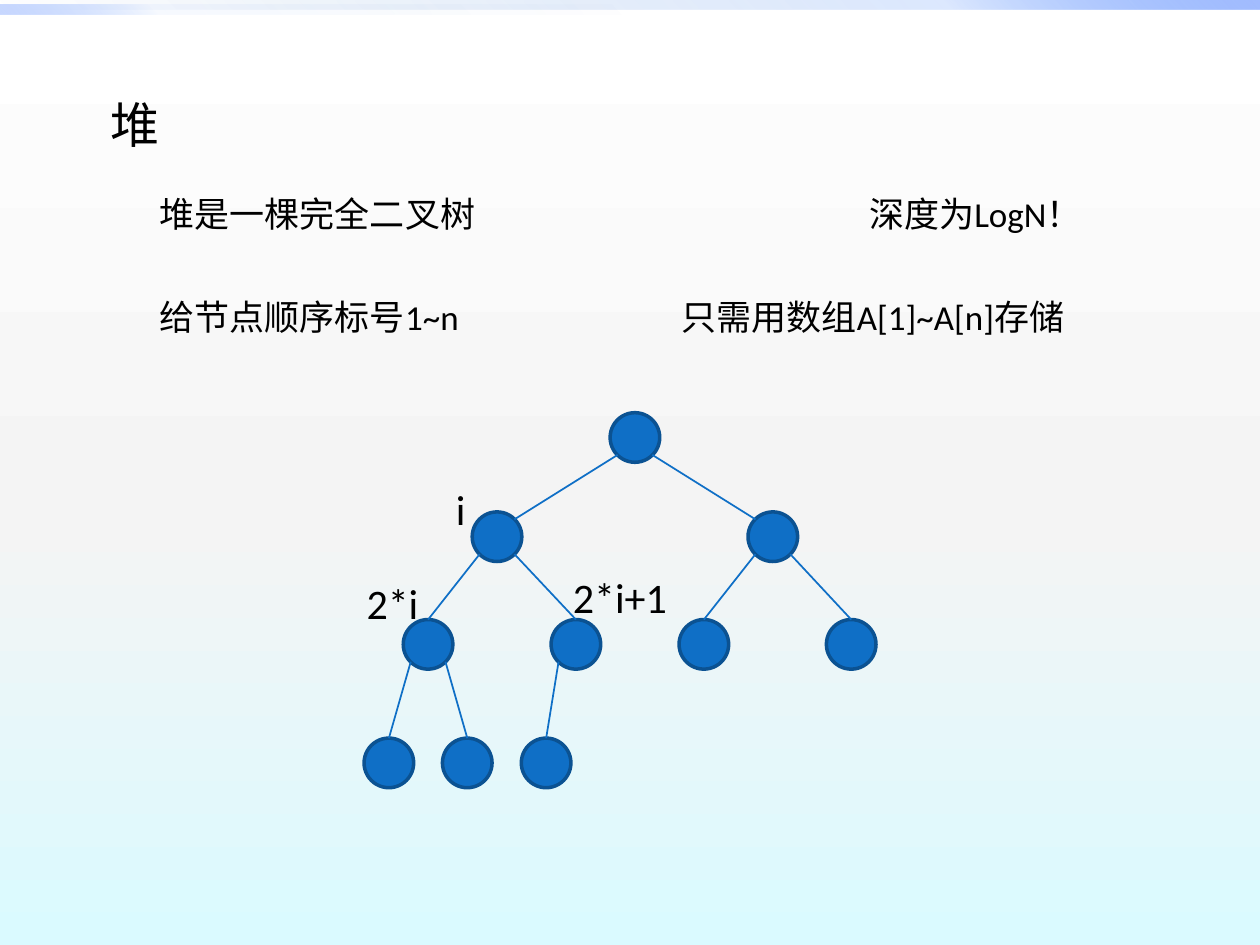
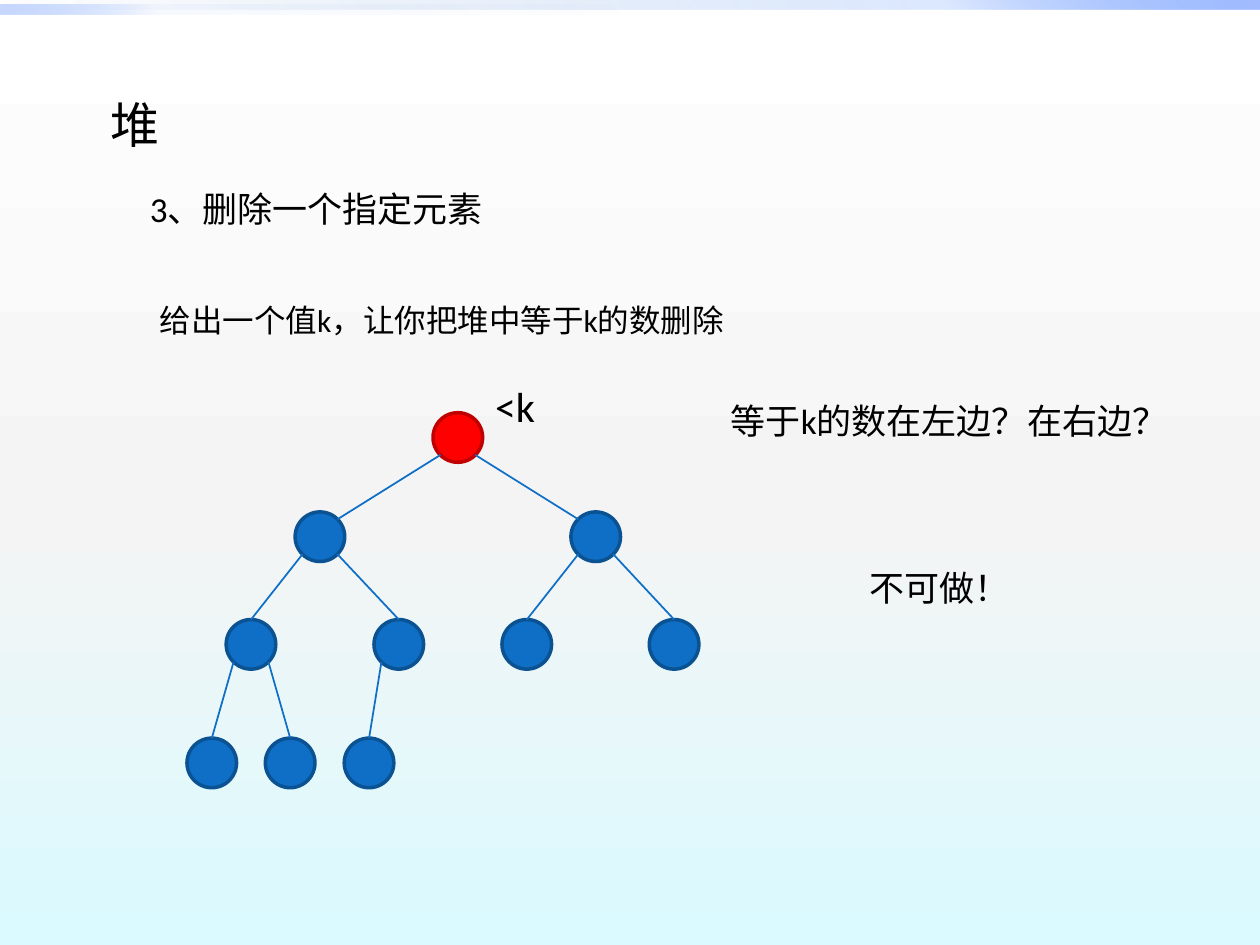
from lxml import etree
from pptx import Presentation
from pptx.dml.color import RGBColor
from pptx.enum.shapes import MSO_CONNECTOR, MSO_SHAPE
from pptx.enum.text import MSO_ANCHOR, MSO_AUTO_SIZE, PP_ALIGN
from pptx.oxml.ns import qn
from pptx.util import Cm, Pt

STRAIGHT = MSO_CONNECTOR.STRAIGHT
OVAL, RECT = MSO_SHAPE.OVAL, MSO_SHAPE.RECTANGLE
LEFT, TOP = PP_ALIGN.LEFT, MSO_ANCHOR.TOP
NO_AUTOSIZE = MSO_AUTO_SIZE.NONE

FONT = "Calibri"
COLORS = {
    "text": "000000", "node": "0F6FC6", "node_line": "0B5292",
    "marked": "FF0000", "marked_line": "C00000",
    "white": "FFFFFF", "grey": "F4F4F4", "ice": "DAFAFF",
    "navy": "00539E", "blue": "538CFF", "pale": "A3BDFF",
}
RADIUS = 0.5
DIAGONAL = 0.35
LEVEL_Y = [8.82, 10.82, 12.99, 15.38]
HEAP_X = [0, -2.78, 2.78, -4.17, -1.19, 1.39, 4.36, -4.96, -3.38, -1.79]


def rgb(name):
    return RGBColor.from_string(COLORS[name])


def set_gradient(fill, element, stops, angle):
    fill.gradient()
    grad = element.find(".//" + qn("a:gradFill"))
    gs_list = grad.find(qn("a:gsLst"))
    for gs in list(gs_list):
        gs_list.remove(gs)
    for pos, name, alpha in stops:
        gs = etree.SubElement(gs_list, qn("a:gs"), pos=str(pos * 1000))
        clr = etree.SubElement(gs, qn("a:srgbClr"), val=COLORS[name])
        if alpha < 100:
            etree.SubElement(clr, qn("a:alpha"), val=str(alpha * 1000))
    grad.find(qn("a:lin")).set("ang", str(angle * 60000))


class Deck:
    def __init__(self):
        self.prs = Presentation()
        self.prs.slide_width, self.prs.slide_height = Cm(25.4), Cm(19.05)
        self.s = None
        master = self.prs.slide_master
        set_gradient(master.background.fill, master.element,
                     [(0, "white", 100), (55, "grey", 100), (100, "ice", 100)], 90)

    def slide(self, title):
        self.s = self.prs.slides.add_slide(self.prs.slide_layouts[5])
        sp = self.s.shapes.title
        sp.left, sp.top, sp.width, sp.height = Cm(1.98), Cm(1.78), Cm(4.57), Cm(1.45)
        self.format_text(sp.text_frame, title, 28)

    def format_text(self, tf, text, size):
        tf.word_wrap = True
        tf.auto_size = NO_AUTOSIZE
        tf.vertical_anchor = TOP
        p = tf.paragraphs[0]
        p.text = text
        p.alignment = LEFT
        p.font.name, p.font.size = FONT, Pt(size)
        p.font.color.rgb = rgb("text")

    def text(self, x, y, w, text, size=20):
        sp = self.s.shapes.add_textbox(Cm(x), Cm(y), Cm(w), Cm(size * 0.055))
        self.format_text(sp.text_frame, text, size)

    def master_band(self, y, w, stops, angle):
        sp = self.s.shapes.add_shape(RECT, 0, Cm(y), Cm(w), Cm(0.2))
        sp.shadow.inherit = False
        sp.line.fill.background()
        set_gradient(sp.fill, sp.element, stops, angle)
        self.prs.slide_master.shapes.element.append(sp.element)

    def node(self, x, y, color):
        sp = self.s.shapes.add_shape(OVAL, Cm(x - RADIUS), Cm(y - RADIUS),
                                     Cm(2 * RADIUS), Cm(2 * RADIUS))
        sp.shadow.inherit = False
        sp.fill.solid()
        sp.fill.fore_color.rgb = rgb(color)
        sp.line.color.rgb = rgb(color + "_line")
        sp.line.width = Pt(2)

    def edge(self, x1, y1, x2, y2):
        cxn = self.s.shapes.add_connector(STRAIGHT, Cm(x1), Cm(y1), Cm(x2), Cm(y2))
        cxn.line.color.rgb = rgb("node")
        cxn.line.width = Pt(1)
        etree.SubElement(cxn.element.spPr, qn("a:effectLst"))

    def heap(self, root_x, root_color="node"):
        centers = [(root_x + dx, LEVEL_Y[(i + 1).bit_length() - 1])
                   for i, dx in enumerate(HEAP_X)]
        for i, (x, y) in enumerate(centers):
            self.node(x, y, "node" if i else root_color)
        for i, (x, y) in enumerate(centers[1:], 1):
            px, py = centers[(i - 1) // 2]
            side = -DIAGONAL if i % 2 else DIAGONAL
            end = (x - side, y - DIAGONAL) if i < 3 else (x, y - RADIUS)
            self.edge(px + side, py + DIAGONAL, *end)


def main():
    deck = Deck()

    deck.slide("堆")
    deck.master_band(0, 25.4, [(0, "navy", 0), (75, "blue", 20), (100, "pale", 100)], 315)
    deck.master_band(0.1, 12.7, [(0, "navy", 0), (75, "blue", 5), (100, "pale", 60)], 135)
    deck.text(2.97, 3.76, 7.75, "堆是一棵完全二叉树")
    deck.text(17.27, 3.76, 5.56, "深度为LogN！")
    deck.text(2.97, 5.84, 7.14, "给节点顺序标号1~n")
    deck.text(13.49, 5.84, 9.73, "只需用数组A[1]~A[n]存储")
    deck.heap(12.8)
    deck.text(8.94, 9.63, 1, "i", 24)
    deck.text(7.14, 11.51, 1.78, "2*i", 24)
    deck.text(11.3, 11.4, 2.59, "2*i+1", 24)

    deck.slide("堆")
    deck.text(2.77, 3.66, 13.69, "3、删除一个指定元素")
    deck.text(2.97, 5.94, 12.9, "给出一个值k，让你把堆中等于k的数删除", 18)
    deck.heap(9.23, "marked")
    deck.text(9.73, 7.54, 3.76, "<k", 24)
    deck.text(14.48, 7.92, 9.93, "等于k的数在左边？在右边？")
    deck.text(17.27, 11.3, 3.76, "不可做！")

    deck.prs.save("out.pptx")


if __name__ == "__main__":
    main()
